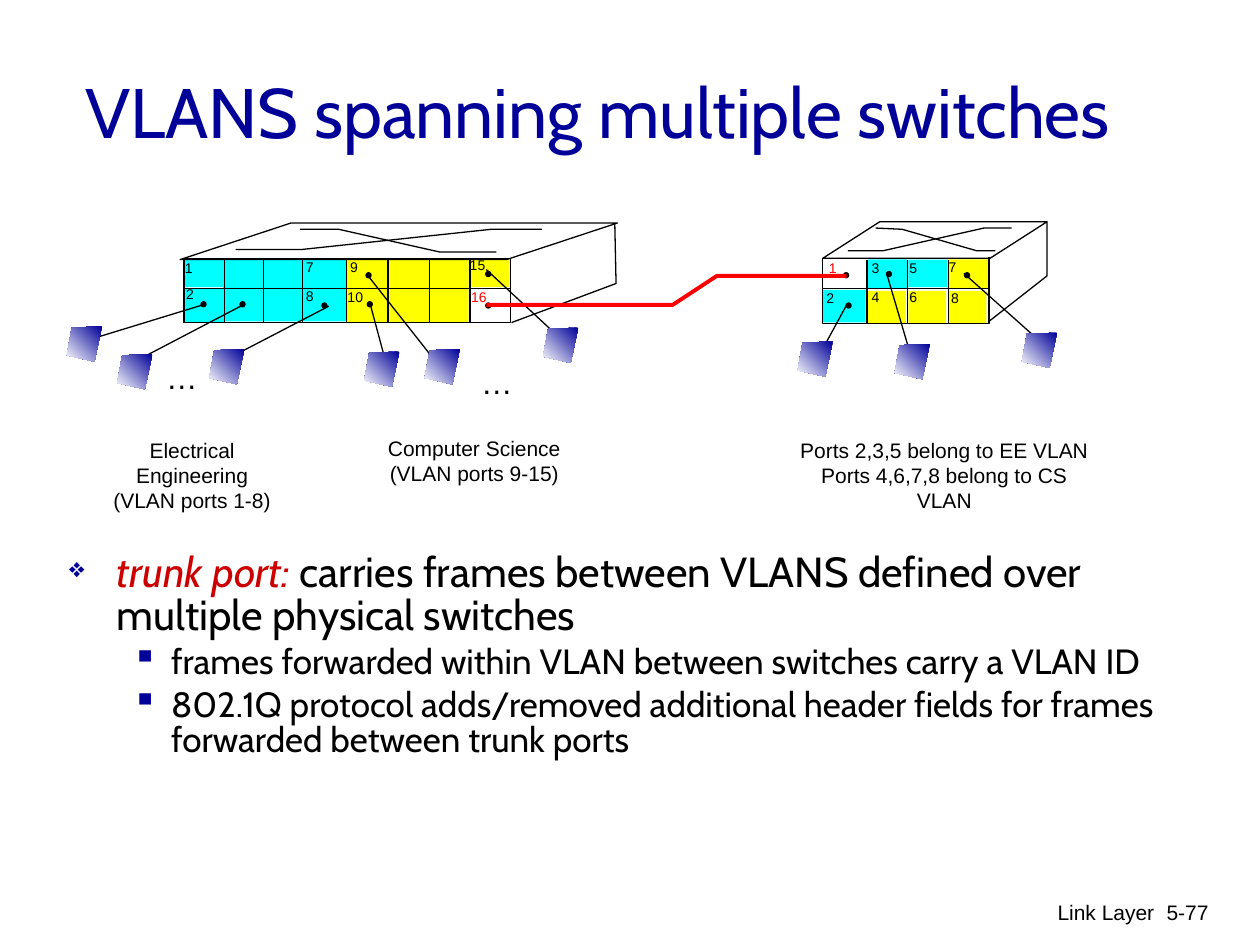
from lxml import etree
from pptx import Presentation
from pptx.dml.color import RGBColor
from pptx.enum.shapes import MSO_CONNECTOR, MSO_SHAPE
from pptx.enum.text import MSO_ANCHOR, MSO_AUTO_SIZE, PP_ALIGN
from pptx.oxml.ns import qn
from pptx.util import Inches, Pt

COLORS = {"black": "000000", "white": "FFFFFF", "cyan": "00FFFF", "yellow": "FFFF00",
          "red": "FF0000", "trunk": "CC0000", "navy": "000099"}

TITLE = "VLANS spanning multiple switches"
BULLETS = [  # level, runs of (text, color, italic)
    (0, [("trunk port: ", "trunk", True),
         ("carries frames between VLANS defined over multiple physical switches", "black", False)]),
    (1, [("frames forwarded within VLAN between switches carry a VLAN ID", "black", False)]),
    (1, [("802.1Q protocol adds/removed additional header fields for frames forwarded "
          "between trunk ports", "black", False)]),
]
BULLET_LEVELS = [
    {"char": "❖", "percent": 65, "size": 24, "margin": 0.38, "indent": -0.38},
    {"char": "▪", "percent": 100, "size": 20, "margin": 0.81, "indent": -0.31},
]

SWITCHES = [
    {"blocks": [(1.47, 2.06, 0.3, 0.22, "cyan"), (1.46, 2.29, 0.32, 0.27, "cyan"),
                (1.77, 2.06, 0.98, 0.49, "cyan"), (2.75, 2.06, 0.97, 0.5, "yellow"),
                (3.72, 2.05, 0.32, 0.23, "yellow")],
     "front": [(1.46, 2.05), (4.05, 2.05), (4.05, 2.56), (1.46, 2.56), (1.46, 2.05)],
     "dividers": [1.46, 1.78, 2.09, 2.4, 2.75, 3.08, 3.41, 3.73],
     "top": (1.43, 1.77, 3.47, 0.29, 3.03),
     "outlines": [[(4.06, 2.56), (4.89, 2.25), (4.88, 1.77)],
                  [(1.87, 1.98), (2.4, 1.98), (3.9, 1.82), (4.3, 1.82)],
                  [(2.38, 1.82), (2.69, 1.82), (3.49, 2), (3.94, 2)]],
     "labels": [("1", 1.37, 2.01), ("2", 1.38, 2.22), ("7", 2.33, 2), ("8", 2.33, 2.23),
                ("9", 2.68, 2), ("10", 2.66, 2.24), ("15", 3.63, 1.99)],
     "links": [((1.61, 2.42), (0.63, 2.72)), ((1.93, 2.42), (1.05, 2.88)),
               ((2.61, 2.43), (1.84, 2.83)), ((2.94, 2.42), (3.05, 2.83)),
               ((2.93, 2.2), (3.45, 2.86)), ((3.86, 2.14), (4.43, 2.67))],
     "dots": [(1.59, 2.39), (1.9, 2.39), (2.55, 2.4), (2.91, 2.39), (2.9, 2.16), (3.85, 2.15)],
     "hosts": [(0.53, 2.59), (0.93, 2.81), (1.66, 2.77), (2.89, 2.79), (3.37, 2.77), (4.31, 2.6)]},
    {"blocks": [(6.53, 2.3, 0.34, 0.26, "cyan"), (6.89, 2.06, 0.31, 0.23, "cyan"),
                (7.21, 2.06, 0.31, 0.22, "cyan"), (7.52, 2.06, 0.32, 0.23, "yellow"),
                (6.89, 2.31, 0.3, 0.26, "yellow"), (7.21, 2.31, 0.3, 0.26, "yellow"),
                (7.53, 2.31, 0.3, 0.26, "yellow")],
     "front": [(6.53, 2.05), (6.53, 2.57), (7.85, 2.57), (7.85, 2.04)],
     "dividers": [6.88, 7.2, 7.53],
     "top": (6.53, 1.76, 1.78, 0.29, 1.56),
     "outlines": [[(6.73, 1.99), (7.01, 1.99), (7.81, 1.81), (8.03, 1.81)],
                  [(6.95, 1.81), (7.16, 1.82), (7.75, 1.99), (7.9, 1.99)],
                  [(8.31, 1.76), (8.31, 2.19), (7.85, 2.55)]],
     "labels": [("2", 6.46, 2.25), ("3", 6.82, 2.01), ("4", 6.82, 2.24), ("5", 7.12, 2.01),
                ("6", 7.12, 2.24), ("7", 7.43, 2), ("8", 7.45, 2.25)],
     "links": [((6.72, 2.42), (6.54, 2.75)), ((7.04, 2.18), (7.24, 2.86)),
               ((7.65, 2.17), (8.21, 2.67))],
     "dots": [(6.71, 2.4), (7.03, 2.15), (7.65, 2.16)],
     "hosts": [(6.33, 2.71), (7.1, 2.73), (8.11, 2.64)]},
]
TRUNK = [(3.86, 2.42), (5.34, 2.42), (5.69, 2.19), (6.72, 2.19)]
TRUNK_DOTS = [(3.85, 2.4), (6.69, 2.16)]
TRUNK_LABELS = [("16", 3.64, 2.24), ("1", 6.48, 2.01)]
HOST_OUTLINE = [(0.28, 0), (0.04, 0.01), (0, 0.23), (0.22, 0.28)]
ELLIPSES = [(1.22, 2.79), (3.72, 2.83)]
CAPTIONS = [  # lines, box, wraps
    (["Electrical Engineering", "(VLAN ports 1-8)"], (0.74, 3.42, 1.57, 0.7), True),
    (["Computer Science", "(VLAN ports 9-15)"], (2.98, 3.41, 1.57, 0.5), False),
    (["Ports 2,3,5 belong to EE VLAN", "Ports 4,6,7,8 belong to CS VLAN"],
     (6.18, 3.42, 2.63, 0.5), False),
]
FOOTERS = [("Link Layer", (6.09, 7.09, 3.17, 0.5)), ("5-77", (8.95, 7.09, 0.74, 0.5))]

presentation = Presentation()
presentation.slide_width, presentation.slide_height = Inches(10), Inches(7.5)
slide = presentation.slides.add_slide(presentation.slide_layouts[6])
shapes = slide.shapes


def rgb(name):
    return RGBColor.from_string(COLORS[name])


def paint(shape, fill=None, line=None, width=0.75):
    shape.shadow.inherit = False
    for part, color in ((shape.fill, fill), (shape.line.fill, line)):
        if color:
            part.solid()
            part.fore_color.rgb = rgb(color)
        else:
            part.background()
    if line:
        shape.line.width = Pt(width)


def add_preset(kind, box, **style):
    shape = shapes.add_shape(kind, *map(Inches, box))
    paint(shape, **style)
    return shape


def add_path(points, close=False, **style):
    start, *rest = [(Inches(x), Inches(y)) for x, y in points]
    builder = shapes.build_freeform(*start)
    builder.add_line_segments(rest, close=close)
    shape = builder.convert_to_shape()
    paint(shape, **style)
    return shape


def add_line(start, end):
    line = shapes.add_connector(MSO_CONNECTOR.STRAIGHT, *map(Inches, (*start, *end)))
    line.line.color.rgb = rgb("black")
    line.line.width = Pt(0.75)
    etree.SubElement(line._element.spPr, qn("a:effectLst"))


def add_run(paragraph, text, color, **font_format):
    run = paragraph.add_run()
    run.text = text
    run.font.color.rgb = rgb(color)
    for name, value in font_format.items():
        setattr(run.font, name, value)


def add_frame(box, wrap=True):
    frame = shapes.add_textbox(*map(Inches, box)).text_frame
    frame.word_wrap = wrap
    if not wrap:
        frame.auto_size = MSO_AUTO_SIZE.SHAPE_TO_FIT_TEXT
    return frame


def add_text(lines, box, size, color="black", align=PP_ALIGN.LEFT, wrap=True, font="Arial"):
    frame = add_frame(box, wrap)
    for index, text in enumerate(lines):
        paragraph = frame.add_paragraph() if index else frame.paragraphs[0]
        paragraph.alignment = align
        add_run(paragraph, text, color, size=Pt(size), name=font)
    return frame


def add_port_labels(labels, color):
    for text, left, top in labels:
        add_text([text], (left, top, 0.26 if len(text) == 1 else 0.33, 0.23), 8, color, wrap=False)


def add_dots(dots):
    for dot in dots:
        add_preset(MSO_SHAPE.OVAL, (*dot, 0.05, 0.05), fill="black")


def add_host(left, top):
    host = add_path([(left + x, top + y) for x, y in HOST_OUTLINE], close=True)
    host.fill.gradient()
    host.fill.gradient_angle = 225
    for stop, color, position in zip(host.fill.gradient_stops, ("navy", "white"), (0, 1)):
        stop.color.rgb = rgb(color)
        stop.position = position


def add_switch(switch):
    for *box, color in switch["blocks"]:
        add_preset(MSO_SHAPE.RECTANGLE, box, fill=color)
    left, right = (pick(x for x, _ in switch["front"]) for pick in (min, max))
    add_line((left, 2.29), (right, 2.29))
    for x in switch["dividers"]:
        add_line((x, 2.06), (x, 2.56))
    *box, slant = switch["top"]
    top = add_preset(MSO_SHAPE.PARALLELOGRAM, box, fill="white", line="black")
    top.adjustments[0] = slant
    for points in [switch["front"], *switch["outlines"]]:
        add_path(points, line="black")
    add_port_labels(switch["labels"], "black")
    for start, end in switch["links"]:
        add_line(start, end)
    add_dots(switch["dots"])


def add_bullets():
    frame = add_frame((0.45, 4.34, 9.07, 2.94))
    for index, (level, runs) in enumerate(BULLETS):
        style = BULLET_LEVELS[level]
        paragraph = frame.add_paragraph() if index else frame.paragraphs[0]
        paragraph.level = level
        properties = paragraph._p.get_or_add_pPr()
        properties.set("marL", str(Inches(style["margin"])))
        properties.set("indent", str(Inches(style["indent"])))
        color = etree.SubElement(properties, qn("a:buClr"))
        etree.SubElement(color, qn("a:srgbClr"), val=COLORS["navy"])
        etree.SubElement(properties, qn("a:buSzPct"), val=str(style["percent"] * 1000))
        etree.SubElement(properties, qn("a:buChar"), char=style["char"])
        paragraph.line_spacing = 0.85
        paragraph.space_before = Pt(style["size"] * 0.2 if index else 0)
        for text, run_color, italic in runs:
            add_run(paragraph, text, run_color, size=Pt(style["size"]), name="Cabin", italic=italic)


title = add_text([TITLE], (0.58, 0.25, 8.5, 1.25), 40, "navy", font="Cabin")
title.vertical_anchor = MSO_ANCHOR.MIDDLE
add_bullets()
for switch in SWITCHES:
    add_switch(switch)
add_dots(TRUNK_DOTS)
add_port_labels(TRUNK_LABELS, "red")
add_path(TRUNK, line="red", width=2.25)
for switch in SWITCHES:
    for host in switch["hosts"]:
        add_host(*host)
for corner in ELLIPSES:
    add_text(["…"], (*corner, 0.45, 0.4), 18, wrap=False)
for lines, box, wrap in CAPTIONS:
    add_text(lines, box, 12, align=PP_ALIGN.CENTER, wrap=wrap)
for text, box in FOOTERS:
    add_text([text], box, 12, align=PP_ALIGN.RIGHT)

presentation.save("out.pptx")
